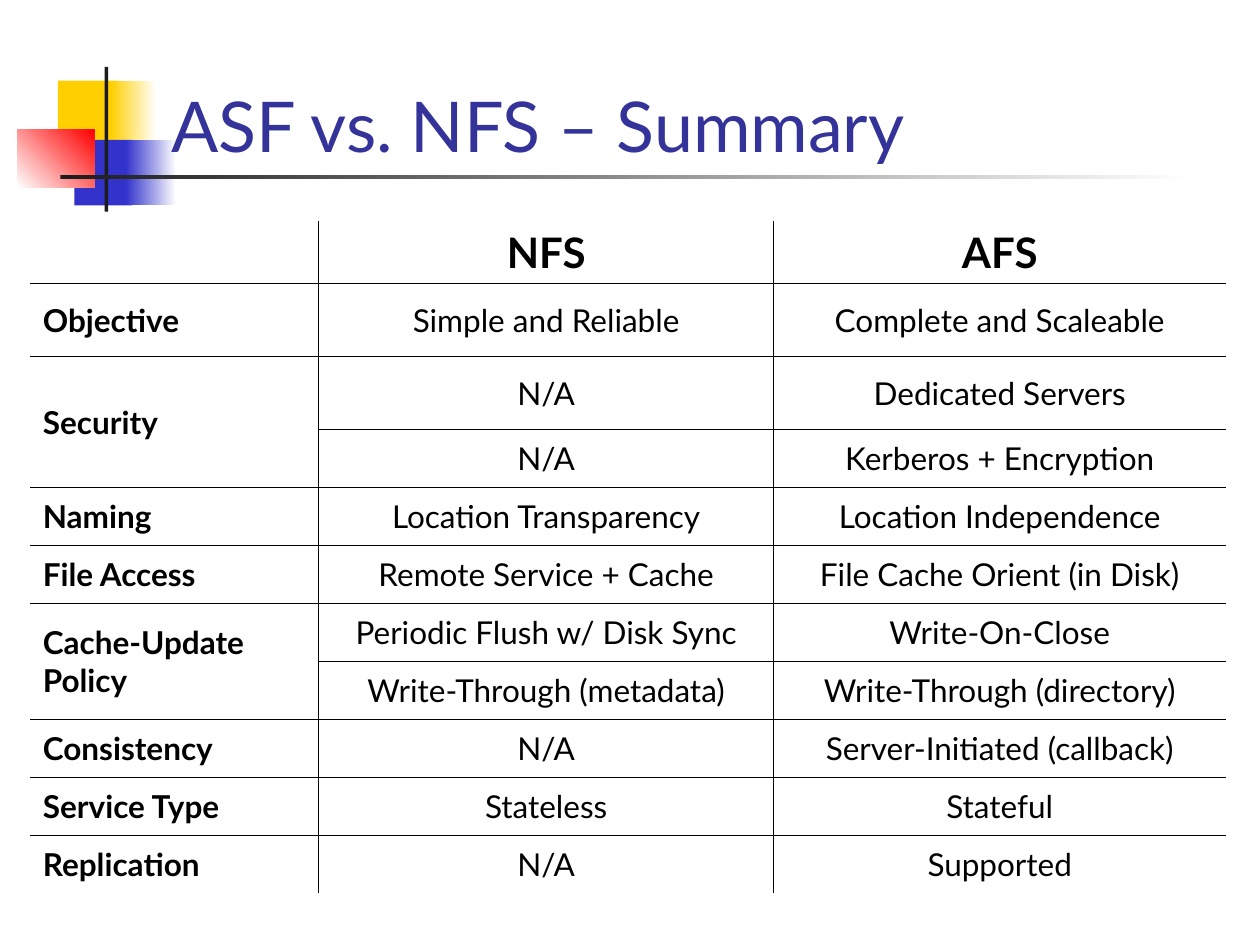
from lxml import etree
from pptx import Presentation
from pptx.dml.color import RGBColor
from pptx.enum.shapes import MSO_SHAPE
from pptx.enum.text import MSO_ANCHOR as Anchor, MSO_AUTO_SIZE as AutoSize, PP_ALIGN as Align
from pptx.oxml.ns import qn
from pptx.util import Inches, Pt

BLACK = RGBColor(0x00, 0x00, 0x00)
WHITE = RGBColor(0xFF, 0xFF, 0xFF)
CHARCOAL = RGBColor(0x1C, 0x1C, 0x1C)
YELLOW = RGBColor(0xFF, 0xCF, 0x01)
BLUE = RGBColor(0x33, 0x33, 0xCC)
RED = RGBColor(0xFF, 0x00, 0x00)
TITLE_BLUE = RGBColor(0x33, 0x33, 0x99)

THICK, THIN = 0.75, 0.45

COLUMN_WIDTHS = [2.29, 3.61, 3.59]
ROW_HEIGHTS = [0.5, 0.58, 0.58] + [0.46] * 8

# An empty first entry below the header continues the topic above it.
COMPARISON = [
    ("", "NFS", "AFS"),
    ("Objective", "Simple and Reliable", "Complete and Scaleable"),
    ("Security", "N/A", "Dedicated Servers"),
    ("", "N/A", "Kerberos + Encryption"),
    ("Naming", "Location Transparency", "Location Independence"),
    ("File Access", "Remote Service + Cache", "File Cache Orient (in Disk)"),
    ("Cache-Update Policy", "Periodic Flush w/ Disk Sync", "Write-On-Close"),
    ("", "Write-Through (metadata)", "Write-Through (directory)"),
    ("Consistency", "N/A", "Server-Initiated (callback)"),
    ("Service Type", "Stateless", "Stateful"),
    ("Replication", "N/A", "Supported"),
]


def set_border(cell, side, width):
    """Draw one cell edge (L, R, T or B) in black; a width of 0 hides it."""
    edge = etree.SubElement(cell._tc.get_or_add_tcPr(), qn(f"a:ln{side}"), w=str(Pt(width)))
    if not width:
        etree.SubElement(edge, qn("a:noFill"))
        return
    fill = etree.SubElement(edge, qn("a:solidFill"))
    etree.SubElement(fill, qn("a:srgbClr"), val=str(BLACK))


class SlideBuilder:
    def __init__(self, slide, font):
        self.slide = slide
        self.font = font

    def style(self, paragraph, size, color, bold=False, align=Align.LEFT):
        paragraph.alignment = align
        font = paragraph.font
        font.name, font.size, font.bold = self.font, Pt(size), bold
        font.color.rgb = color

    def title(self, text, left, top, width, height):
        title = self.slide.shapes.title
        title.left, title.top = Inches(left), Inches(top)
        title.width, title.height = Inches(width), Inches(height)
        frame = title.text_frame
        frame.text = text
        frame.word_wrap = True
        frame.auto_size = AutoSize.NONE
        frame.vertical_anchor = Anchor.BOTTOM
        self.style(frame.paragraphs[0], 40, TITLE_BLUE)

    def block(self, left, top, width, height, color, end_color=None, angle=0):
        """Add a borderless rectangle, fading to end_color when one is given."""
        block = self.slide.shapes.add_shape(
            MSO_SHAPE.RECTANGLE, Inches(left), Inches(top), Inches(width), Inches(height))
        block.shadow.inherit = False
        block.line.fill.background()
        if end_color is None:
            block.fill.solid()
            block.fill.fore_color.rgb = color
            return
        block.fill.gradient()
        block.fill.gradient_angle = angle
        for stop, stop_color in zip(block.fill.gradient_stops, (color, end_color)):
            stop.color.rgb = stop_color

    def table(self, rows, left, top, widths, heights):
        table = self.slide.shapes.add_table(
            len(rows), len(widths), Inches(left), Inches(top),
            Inches(sum(widths)), Inches(sum(heights))).table
        table.first_row = table.horz_banding = False
        for column, width in zip(table.columns, widths):
            column.width = Inches(width)
        for row, height in zip(table.rows, heights):
            row.height = Inches(height)

        column_rules = [0, THICK, THIN, 0]
        row_rules = [0, THICK] + [THIN] * (len(rows) - 2) + [0]
        for r, entries in enumerate(rows):
            for c, text in enumerate(entries):
                cell = table.cell(r, c)
                self.fill_cell(cell, text, header=r == 0, topic=c == 0)
                set_border(cell, "L", column_rules[c])
                set_border(cell, "R", column_rules[c + 1])
                set_border(cell, "T", row_rules[r])
                set_border(cell, "B", row_rules[r + 1])
                cell.fill.background()
            if r and not entries[0]:
                table.cell(r - 1, 0).merge(table.cell(r, 0))

    def fill_cell(self, cell, text, header, topic):
        cell.text = text
        cell.vertical_anchor = Anchor.TOP if header else Anchor.MIDDLE
        paragraph = cell.text_frame.paragraphs[0]
        paragraph.space_before = Pt(6 if header else 4.5)
        self.style(paragraph, 24 if header else 18, BLACK, bold=header or topic,
                   align=Align.LEFT if topic else Align.CENTER)


def main():
    prs = Presentation()
    prs.slide_width, prs.slide_height = Inches(10), Inches(7.5)
    builder = SlideBuilder(prs.slides.add_slide(prs.slide_layouts[5]), "Lato")

    builder.block(0.46, 0.64, 0.48, 0.52, YELLOW)
    builder.block(0.88, 0.64, 0.36, 0.52, YELLOW, WHITE)
    builder.block(0.59, 1.11, 0.46, 0.52, BLUE)
    builder.block(1, 1.11, 0.4, 0.52, BLUE, WHITE)
    builder.block(0.14, 1.03, 0.61, 0.46, WHITE, RED, angle=45)
    builder.block(0.83, 0.53, 0.03, 1.15, CHARCOAL)
    builder.block(0.48, 1.39, 9, 0.03, CHARCOAL, WHITE)

    # The title's text overlaps the blocks, so it is moved in front of them.
    shapes = builder.slide.shapes
    shapes._spTree.append(shapes.title._element)
    builder.title("ASF vs. NFS – Summary", 1.26, 0.12, 8.52, 1.25)
    builder.table(COMPARISON, 0.24, 1.75, COLUMN_WIDTHS, ROW_HEIGHTS)

    prs.save("out.pptx")


if __name__ == "__main__":
    main()
